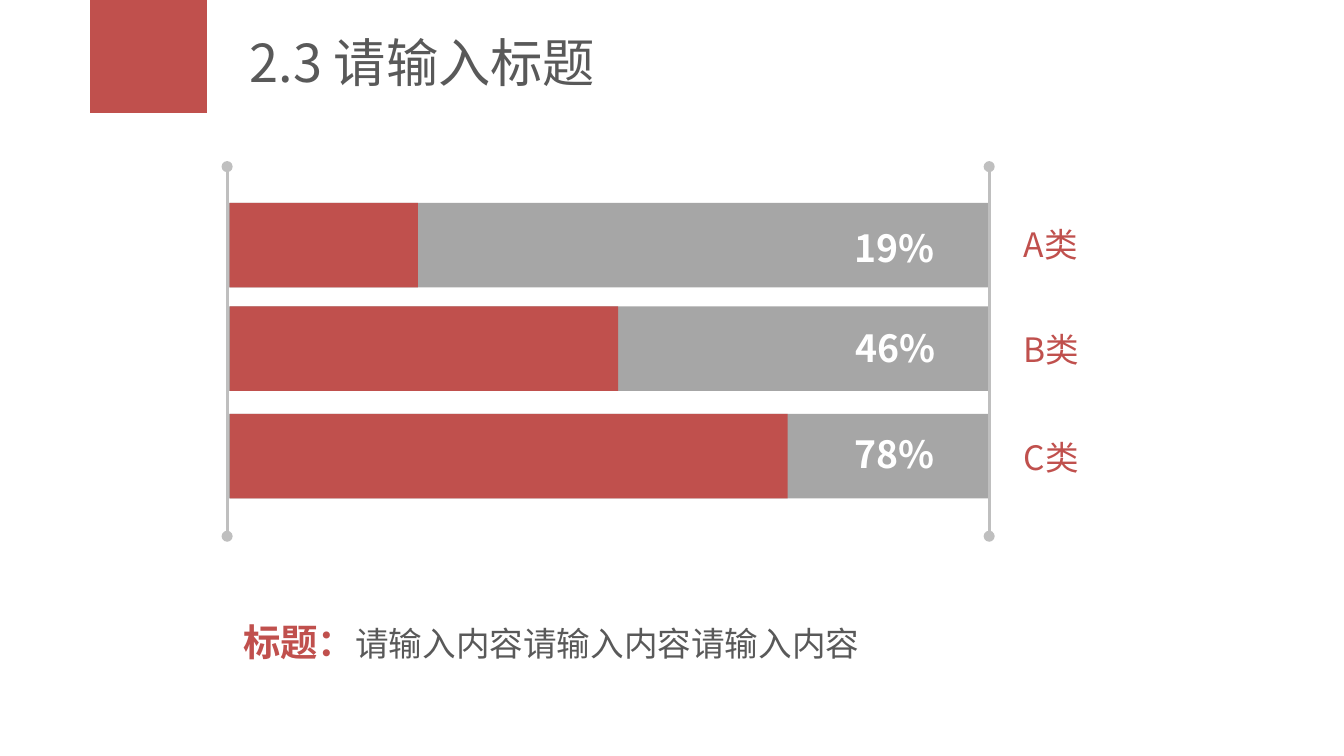
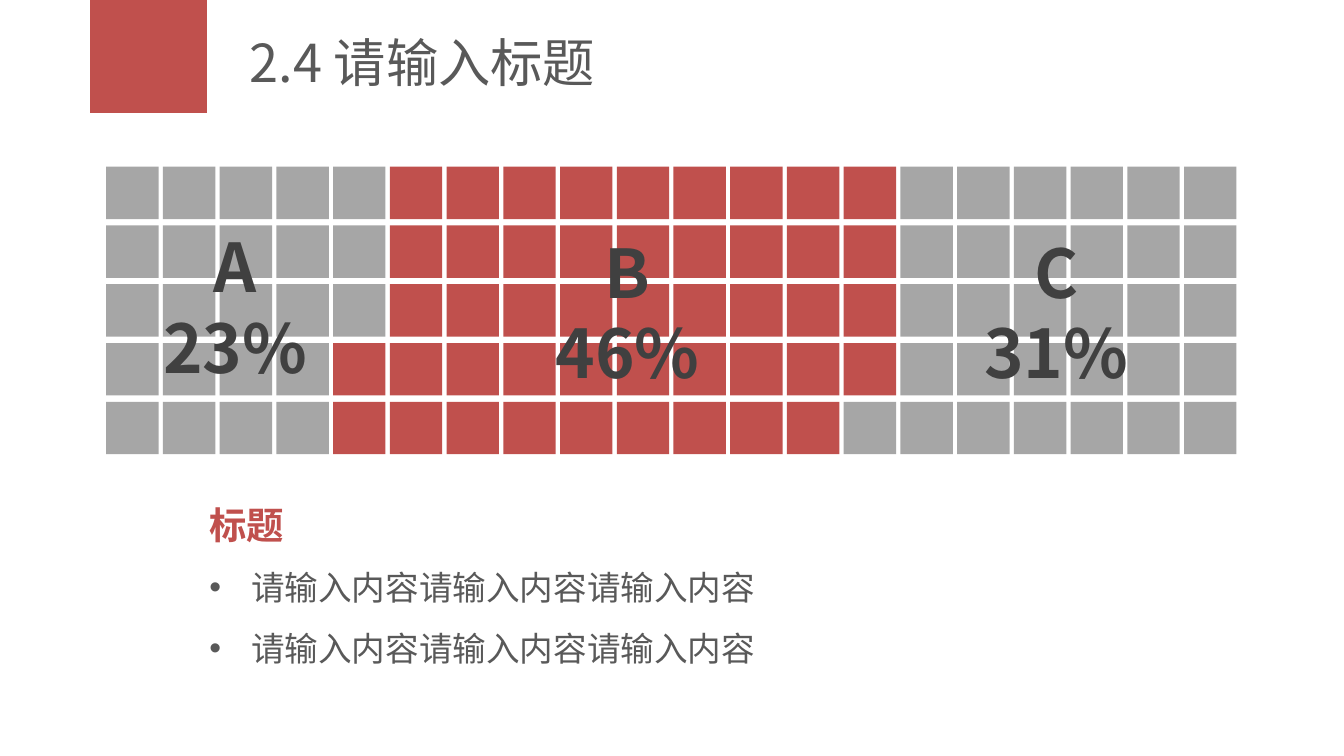
from dataclasses import dataclass
from typing import Any

import pptx
import pptx.dml.color
import pptx.enum.shapes
import pptx.enum.text
import pptx.oxml
import pptx.oxml.ns
import pptx.util

Inches = pptx.util.Inches
ANCHOR = pptx.enum.text.MSO_ANCHOR
AUTO_SIZE = pptx.enum.text.MSO_AUTO_SIZE
ALIGN = pptx.enum.text.PP_ALIGN

FONT = "Noto Sans CJK SC"
RED, GREY, RAIL_GREY = "C0504D", "A6A6A6", "BFBFBF"
BODY, DARK, WHITE = "595959", "404040", "FFFFFF"
CONTENT = "请输入内容" * 3


@dataclass(frozen=True)
class Run:
    text: str
    size: int
    color: str
    bold: bool = False


@dataclass(frozen=True)
class Para:
    runs: tuple[Run, ...]
    spacing: float = 1.0
    align: Any = ALIGN.LEFT
    bullet: bool = False


@dataclass(frozen=True)
class Bar:
    category: str
    percent: str
    top: float
    filled: float
    percent_left: float
    percent_top: float
    category_top: float


@dataclass(frozen=True)
class Share:
    category: str
    percent: int
    left: float
    top: float


def rgb(code: str) -> pptx.dml.color.RGBColor:
    return pptx.dml.color.RGBColor.from_string(code)


def apply(target: Any, values: dict[str, Any]) -> None:
    for name, value in values.items():
        setattr(target, name, value)


def add_block(shapes: Any, left: float, top: float, width: float,
              height: float, color: str) -> None:
    block = shapes.add_shape(
        pptx.enum.shapes.MSO_SHAPE.RECTANGLE,
        Inches(left), Inches(top), Inches(width), Inches(height))
    block.shadow.inherit = False
    block.fill.solid()
    block.fill.fore_color.rgb = rgb(color)
    block.line.fill.background()


def add_run(paragraph: Any, wording: Run) -> None:
    run = paragraph.add_run()
    run.text = wording.text
    apply(run.font, {"name": FONT, "size": pptx.util.Pt(wording.size),
                     "bold": wording.bold})
    run.font.color.rgb = rgb(wording.color)
    latin = run.font._element.find(pptx.oxml.ns.qn("a:latin"))
    latin.addnext(pptx.oxml.parse_xml(
        f'<a:ea {pptx.oxml.ns.nsdecls("a")} typeface="{FONT}"/>'))


def add_bullet(paragraph: Any) -> None:
    properties = paragraph._p.get_or_add_pPr()
    indent = Inches(0.31)
    properties.set("marL", str(indent))
    properties.set("indent", str(-indent))
    for markup in ('<a:buFont {} typeface="Arial"/>', '<a:buChar {} char="•"/>'):
        properties.append(pptx.oxml.parse_xml(
            markup.format(pptx.oxml.ns.nsdecls("a"))))


def add_text(slide: Any, left: float, top: float, width: float, height: float,
             paras: list[Para], anchor: Any = ANCHOR.TOP,
             auto_size: Any = AUTO_SIZE.SHAPE_TO_FIT_TEXT) -> None:
    frame = slide.shapes.add_textbox(
        Inches(left), Inches(top), Inches(width), Inches(height)).text_frame
    apply(frame, {"word_wrap": True, "auto_size": auto_size,
                  "vertical_anchor": anchor})
    for index, para in enumerate(paras):
        paragraph = frame.add_paragraph() if index else frame.paragraphs[0]
        apply(paragraph, {"line_spacing": para.spacing, "alignment": para.align})
        if para.bullet:
            add_bullet(paragraph)
        for run in para.runs:
            add_run(paragraph, run)


def add_rail(slide: Any, x: float, top: float, bottom: float) -> None:
    rail = slide.shapes.add_connector(
        pptx.enum.shapes.MSO_CONNECTOR.STRAIGHT,
        Inches(x), Inches(top), Inches(x), Inches(bottom))
    rail.line.color.rgb = rgb(RAIL_GREY)
    rail.line.width = pptx.util.Pt(1.5)
    outline = rail.line._get_or_add_ln()
    for end in ("headEnd", "tailEnd"):
        outline.append(pptx.oxml.parse_xml(
            f'<a:{end} {pptx.oxml.ns.nsdecls("a")} type="oval"/>'))
    outline.addnext(pptx.oxml.parse_xml(
        f'<a:effectLst {pptx.oxml.ns.nsdecls("a")}/>'))


def add_titled_slide(deck: Any, number: str) -> Any:
    slide = deck.slides.add_slide(deck.slide_layouts[6])
    add_block(slide.shapes, 0.67, 0, 0.87, 0.84, RED)
    title = Para((Run(f"{number} 请输入标题", 28, BODY),))
    add_text(slide, 1.76, 0.14, 7.89, 0.63, [title],
             ANCHOR.MIDDLE, AUTO_SIZE.NONE)
    return slide


def build_bars(deck: Any) -> None:
    slide = add_titled_slide(deck, "2.3")
    left, right, height = 1.69, 7.36, 0.63
    bars = [
        Bar("A类", "19%", 1.51, 1.40, 6.26, 1.63, 1.62),
        Bar("B类", "46%", 2.28, 2.89, 6.27, 2.37, 2.40),
        Bar("C类", "78%", 3.08, 4.15, 6.26, 3.16, 3.20),
    ]
    for bar in bars:
        add_block(slide.shapes, left, bar.top, right - left, height, GREY)
    for x in (right, left):
        add_rail(slide, x, 1.24, 3.99)
    for bar in bars:
        add_block(slide.shapes, left + 0.02, bar.top, bar.filled, height, RED)
    for bar in bars:
        add_text(slide, bar.percent_left, bar.percent_top, 0.87, 0.44,
                 [Para((Run(bar.percent, 20, WHITE, True),))])
    for bar in bars:
        add_text(slide, right + 0.16, bar.category_top, 1.18, 0.4,
                 [Para((Run(bar.category, 18, RED),))])
    caption = (Run("标题：", 20, RED, True), Run(CONTENT, 18, BODY))
    add_text(slide, 1.71, 4.39, 6.85, 0.55, [Para(caption, 1.5)])


def build_waffle(deck: Any) -> None:
    slide = add_titled_slide(deck, "2.4")
    shares = [
        Share("A", 23, 0.82, 1.63),
        Share("B", 46, 3.74, 1.67),
        Share("C", 31, 6.93, 1.67),
    ]
    columns, rows, side = 20, 5, 0.39
    left, top = 0.79, 1.24
    step_x = (8.81 - left) / (columns - 1)
    step_y = (2.99 - top) / (rows - 1)
    red_start = shares[0].percent
    red_end = red_start + shares[1].percent
    squares = slide.shapes.add_group_shape().shapes
    for row in range(rows):
        for column in range(columns):
            rank = column * rows + row
            color = RED if red_start <= rank < red_end else GREY
            add_block(squares, left + column * step_x, top + row * step_y,
                      side, side, color)
    for share in shares:
        add_text(slide, share.left, share.top, 1.86, 1.31,
                 [Para((Run(line, 36, DARK, True),), align=ALIGN.CENTER)
                  for line in (share.category, f"{share.percent}%")])
    point = Para((Run(CONTENT, 18, BODY),), 1.5, bullet=True)
    heading = Para((Run("标题", 20, RED, True),), 1.5)
    add_text(slide, 1.46, 3.52, 6.85, 1.51, [heading, point, point])


def main() -> None:
    deck = pptx.Presentation()
    width = Inches(10)
    apply(deck, {"slide_width": width, "slide_height": width * 9 // 16})
    build_bars(deck)
    build_waffle(deck)
    deck.save("out.pptx")


main()
